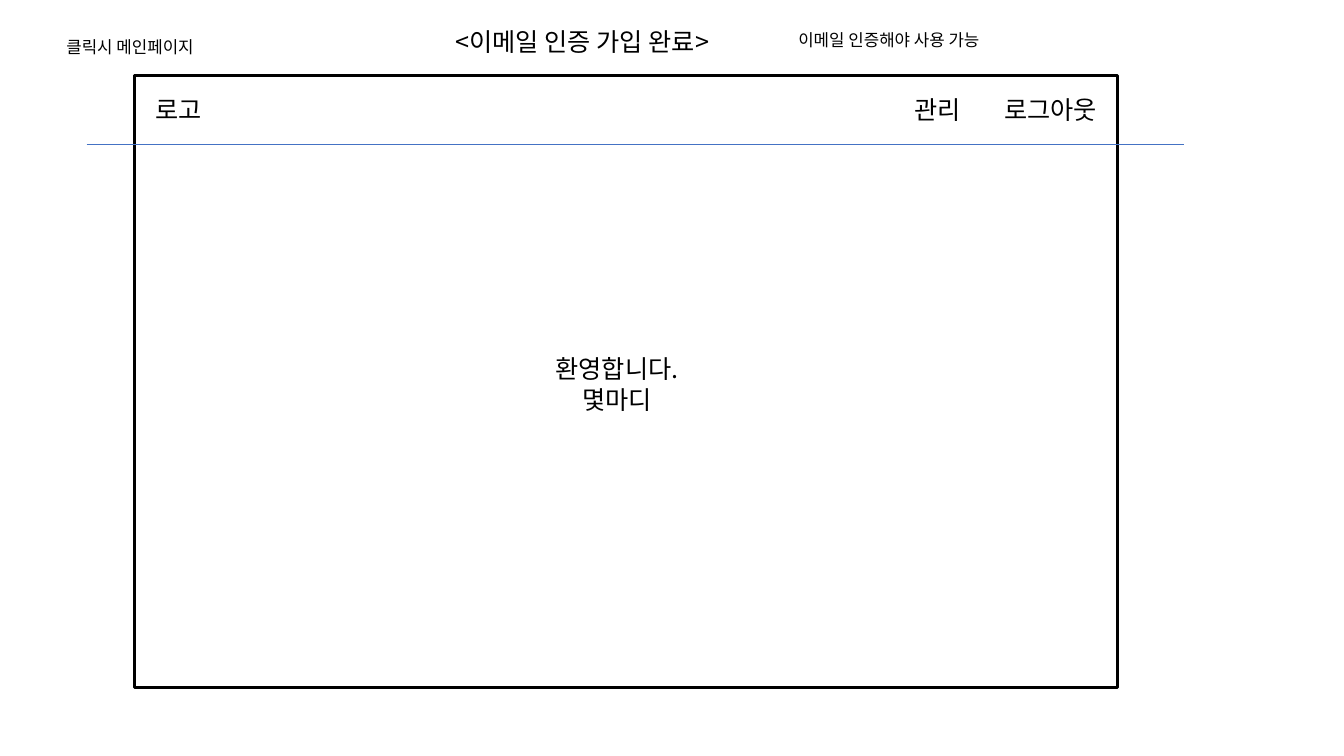
from dataclasses import dataclass

from lxml import etree
from pptx import Presentation
from pptx.dml.color import RGBColor
from pptx.enum.shapes import MSO_CONNECTOR, MSO_SHAPE
from pptx.enum.text import MSO_AUTO_SIZE, PP_ALIGN
from pptx.oxml.ns import qn
from pptx.slide import Slide
from pptx.util import Inches, Pt

RECTANGLE = MSO_SHAPE.RECTANGLE
STRAIGHT = MSO_CONNECTOR.STRAIGHT
FIT_SHAPE = MSO_AUTO_SIZE.SHAPE_TO_FIT_TEXT
LEFT, CENTER = PP_ALIGN.LEFT, PP_ALIGN.CENTER

SLIDE_WIDTH, SLIDE_HEIGHT = Inches(13.33), Inches(7.5)
FONT = "Noto Sans CJK KR"
BLACK, BLUE = "000000", "4472C4"
BODY_SIZE, NOTE_SIZE = 18, 12
BODY_HEIGHT, NOTE_HEIGHT = 5.33, 4
MENU_TOP, MENU_WIDTH = 11.87, 9.9
NOTE_WIDTH = 17.25


@dataclass(frozen=True)
class Box:
    left: float
    top: float
    width: float
    height: float


@dataclass(frozen=True)
class Label:
    lines: tuple[str, ...]
    box: Box
    size: int = BODY_SIZE
    alignment: PP_ALIGN = LEFT


def across(percent: float) -> int:
    return round(SLIDE_WIDTH * percent / 100)


def down(percent: float) -> int:
    return round(SLIDE_HEIGHT * percent / 100)


def place(box: Box) -> tuple[int, int, int, int]:
    return across(box.left), down(box.top), across(box.width), down(box.height)


def color(value: str) -> RGBColor:
    return RGBColor.from_string(value)


def draw_frame(slide: Slide, box: Box) -> None:
    frame = slide.shapes.add_shape(RECTANGLE, *place(box))
    frame.shadow.inherit = False
    frame.fill.background()
    frame.line.color.rgb = color(BLACK)
    frame.line.width = Pt(2.25)


def draw_divider(slide: Slide, left: float, right: float, top: float) -> None:
    divider = slide.shapes.add_connector(
        STRAIGHT, across(left), down(top), across(right), down(top)
    )
    divider.line.color.rgb = color(BLUE)
    divider.line.width = Pt(0.5)
    etree.SubElement(divider._element.spPr, qn("a:effectLst"))


def draw_label(slide: Slide, label: Label) -> None:
    text_frame = slide.shapes.add_textbox(*place(label.box)).text_frame
    text_frame.word_wrap = True
    text_frame.auto_size = FIT_SHAPE
    text_frame.text = "\n".join(label.lines)
    for paragraph in text_frame.paragraphs:
        paragraph.alignment = label.alignment
        paragraph.font.size = Pt(label.size)
        paragraph.font.name = FONT
        paragraph.font.color.rgb = color(BLACK)
        properties = paragraph._p.pPr.find(qn("a:defRPr"))
        etree.SubElement(properties, qn("a:ea"), typeface=FONT)


LABELS = (
    Label(("로고",), Box(10.8, MENU_TOP, MENU_WIDTH, BODY_HEIGHT)),
    Label(("로그아웃",), Box(73.97, MENU_TOP, MENU_WIDTH, BODY_HEIGHT)),
    Label(("클릭시 메인페이지",), Box(4.2, 4.27, NOTE_WIDTH, NOTE_HEIGHT), NOTE_SIZE),
    Label(("<이메일 인증 가입 완료>",), Box(33.16, 2.8, 25.5, BODY_HEIGHT)),
    Label(("환영합니다.", "몇마디"), Box(20.7, 46.13, 50.4, 9.47), alignment=CENTER),
    Label(
        ("이메일 인증해야 사용 가능",),
        Box(58.66, 3.33, NOTE_WIDTH, NOTE_HEIGHT),
        NOTE_SIZE,
    ),
    Label(("관리",), Box(67.3, MENU_TOP, 5.85, BODY_HEIGHT)),
)

presentation = Presentation()
presentation.slide_width = SLIDE_WIDTH
presentation.slide_height = SLIDE_HEIGHT
slide = presentation.slides.add_slide(presentation.slide_layouts[6])

draw_frame(slide, Box(10, 10, 73.14, 80.93))
draw_divider(slide, 6.45, 88.07, 19.07)
for label in LABELS:
    draw_label(slide, label)

presentation.save("out.pptx")
